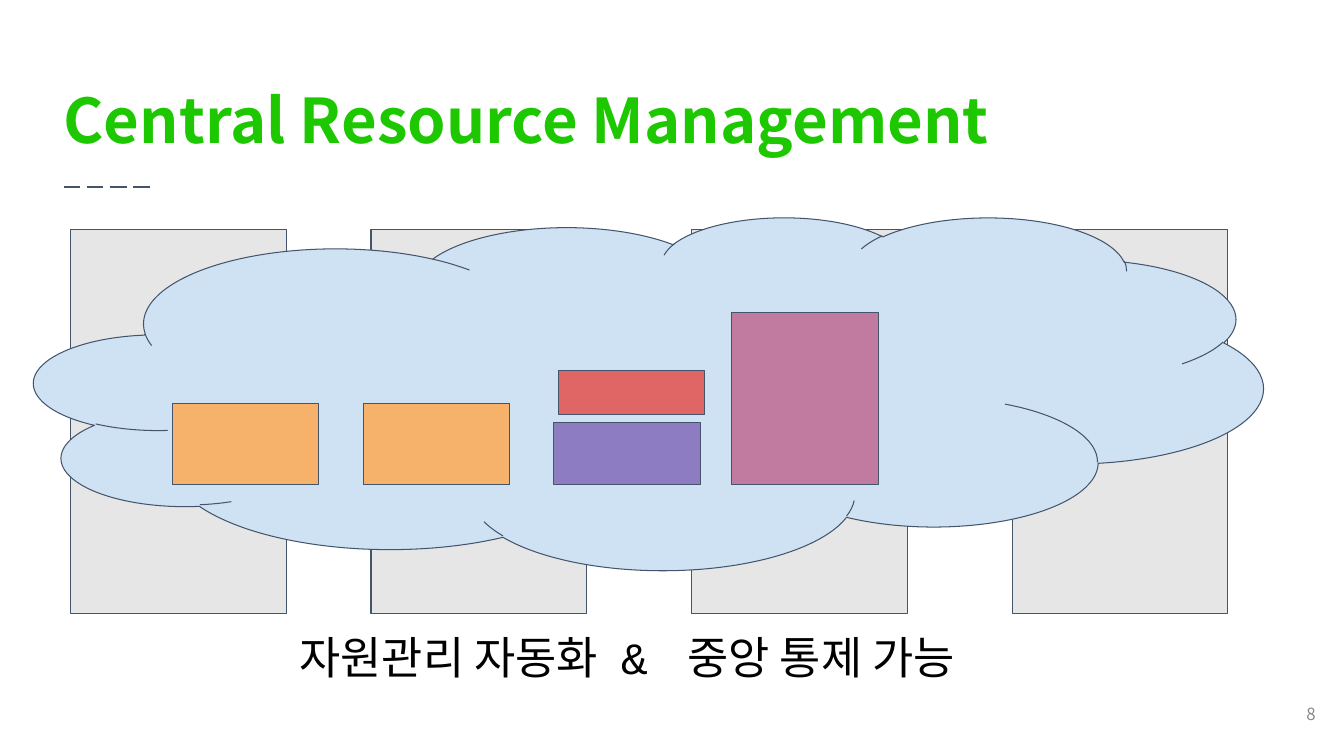
from lxml.etree import SubElement
from pptx import Presentation
from pptx.dml.color import RGBColor
from pptx.enum.dml import MSO_LINE
from pptx.enum.shapes import MSO_CONNECTOR, MSO_SHAPE
from pptx.enum.text import MSO_ANCHOR, PP_ALIGN
from pptx.oxml.ns import qn
from pptx.util import Pt


def color(hex_code):
    return RGBColor.from_string(hex_code)


class SlideBuilder:
    SANS = "Noto Sans CJK KR"
    MONO = "Courier New"
    LINE = "44546A"

    def __init__(self, slide):
        self.shapes = slide.shapes

    def place(self, item, left, top, width, height):
        bounds = {"left": left, "top": top, "width": width, "height": height}
        for name, value in bounds.items():
            setattr(item, name, Pt(value))

    def fill_text(self, holder, pieces, inset, frame_format, font_format, hex_code,
                  align=PP_ALIGN.LEFT, line_spacing=1.0):
        """Fill one paragraph from (text, letter spacing in points) pieces."""
        frame = holder.text_frame
        margins = {f"margin_{side}": Pt(inset)
                   for side in ("left", "top", "right", "bottom")}
        for name, value in {"word_wrap": True, **margins, **frame_format}.items():
            setattr(frame, name, value)
        paragraph = frame.paragraphs[0]
        paragraph.alignment = align
        paragraph.line_spacing = line_spacing
        for text, spacing in pieces:
            run = paragraph.add_run()
            run.text = text
            for name, value in font_format.items():
                setattr(run.font, name, value)
            run.font.color.rgb = color(hex_code)
            properties = run._r.get_or_add_rPr()
            SubElement(properties, qn("a:ea")).set("typeface", self.SANS)
            if spacing:
                properties.set("spc", str(spacing * 100))

    def title(self, text, bounds):
        title = self.shapes.title
        self.place(title, *bounds)
        self.fill_text(title, [(text, 0)], 7.2,
                       {"vertical_anchor": MSO_ANCHOR.BOTTOM},
                       {"name": self.SANS, "size": Pt(44), "bold": True},
                       "1DC800", line_spacing=0.9)

    def text(self, pieces, bounds, inset, font, size, hex_code,
             align=PP_ALIGN.LEFT, anchor=MSO_ANCHOR.TOP):
        box = self.shapes.add_textbox(*map(Pt, bounds))
        self.fill_text(box, pieces, inset, {"vertical_anchor": anchor},
                       {"name": font, "size": Pt(size)}, hex_code, align)

    def block(self, bounds, fill, preset=MSO_SHAPE.RECTANGLE):
        block = self.shapes.add_shape(preset, *map(Pt, bounds))
        block.shadow.inherit = False
        block.fill.solid()
        block.fill.fore_color.rgb = color(fill)
        block.line.color.rgb = color(self.LINE)
        block.line.width = Pt(0.75)

    def dashes(self, left, right, top):
        rule = self.shapes.add_connector(
            MSO_CONNECTOR.STRAIGHT, Pt(left), Pt(top), Pt(right), Pt(top))
        rule.line.color.rgb = color(self.LINE)
        rule.line.width = Pt(1.5)
        rule.line.dash_style = MSO_LINE.LONG_DASH
        SubElement(rule._element.spPr, qn("a:effectLst"))


def main():
    deck = Presentation()
    deck.slide_width, deck.slide_height = Pt(960), Pt(540)
    page = SlideBuilder(deck.slides.add_slide(deck.slide_layouts[5]))

    page.title("Central Resource Management", (38.2, 15.1, 828, 104.4))
    page.dashes(45.4, 109.4, 133.9)

    for server_left in (50.4, 265, 494, 723):
        page.block((server_left, 164, 154, 274.3), "E7E6E6")
    page.block((24.5, 154.8, 877.7, 252), "CFE2F3", MSO_SHAPE.CLOUD)

    workload_base = 346
    workloads = [
        (123, 57.6, 0, "F6B26B"),
        (259.5, 57.6, 0, "F6B26B"),
        (395.5, 44, 0, "8E7CC3"),
        (522.7, 122.8, 0, "C27BA0"),
        (399, 31, 50, "E06666"),
    ]
    for left, height, lift, fill in workloads:
        page.block((left, workload_base - lift - height, 104.6, height), fill)

    caption = [("자원관리 자동화", 0), (" ", 9), ("&", 0), (" ", 9), ("중앙 통제 가능", 0)]
    page.text(caption, (204.5, 440.6, 677.5, 79.2), 9.4, page.MONO, 32, "000000")
    page.text([("8", 0)], (889.2, 489.6, 57.6, 41), 7.2, page.SANS, 12, "888888",
              PP_ALIGN.RIGHT, MSO_ANCHOR.MIDDLE)

    deck.save("out.pptx")


if __name__ == "__main__":
    main()
